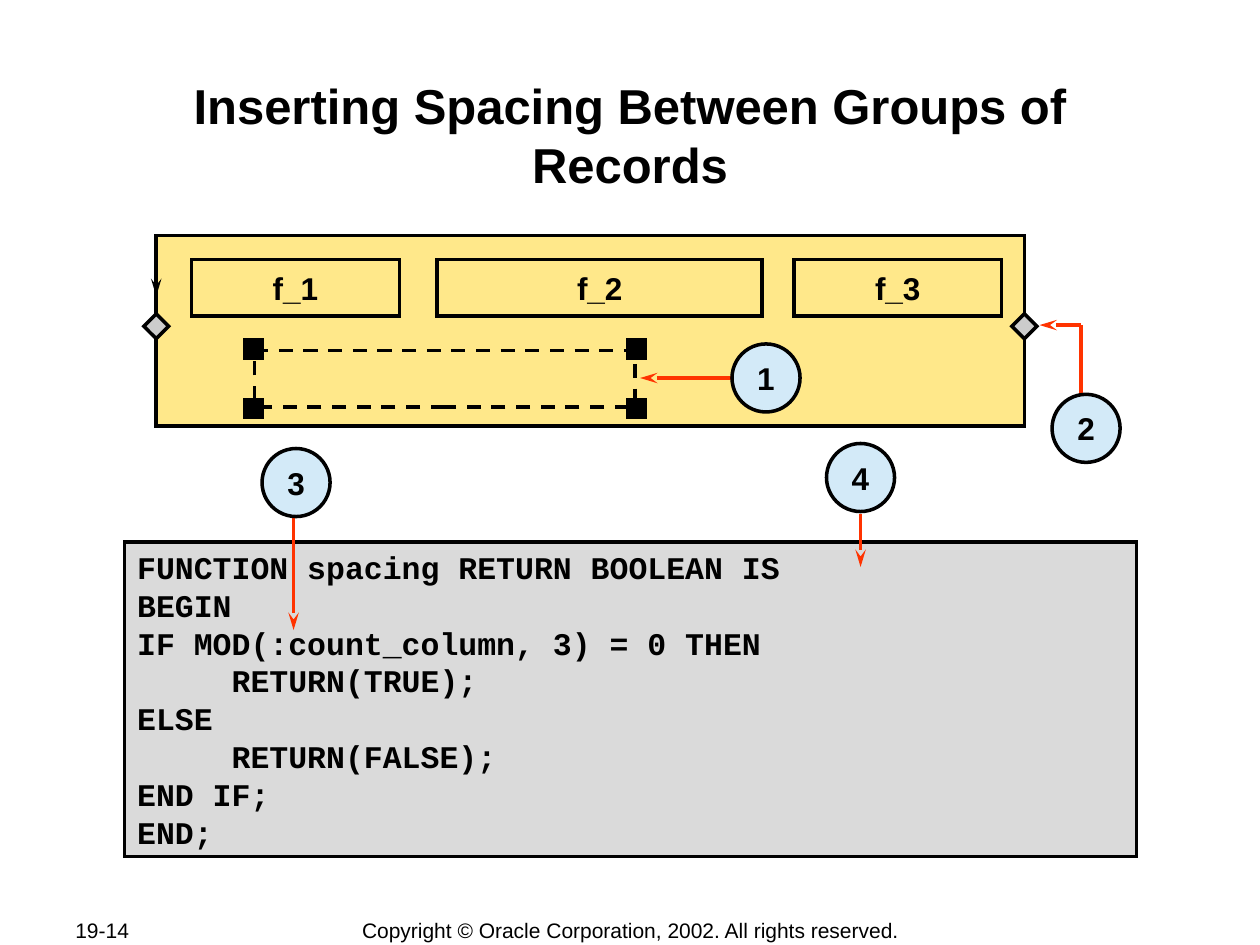
import pptx
import pptx.dml.color
import pptx.enum.dml
import pptx.enum.shapes
import pptx.enum.text
import pptx.oxml
import pptx.oxml.ns
import pptx.util
from dataclasses import dataclass

Inches, Pt = pptx.util.Inches, pptx.util.Pt
RGB = pptx.dml.color.RGBColor.from_string
SHAPE = pptx.enum.shapes.MSO_SHAPE
ALIGN = pptx.enum.text.PP_ALIGN
ANCHOR = pptx.enum.text.MSO_ANCHOR
NS = pptx.oxml.ns.nsdecls("a")


@dataclass(frozen=True)
class Theme:
    ink: str = "000000"
    frame: str = "FFE88A"
    anchor: str = "CCCCCC"
    code: str = "DADADA"
    badge: str = "D3EAF8"
    arrow: str = "FF3300"
    sans: str = "Arial"
    mono: str = "Courier New"
    title_size: int = 28
    body_size: int = 18
    footer_size: int = 12
    line: int = 2


T = Theme()

# Content
TITLE = "Inserting Spacing Between Groups of Records"
PAGE = "19-14"
COPYRIGHT = "Copyright © Oracle Corporation, 2002. All rights reserved."
CODE = [
    "FUNCTION spacing RETURN BOOLEAN IS",
    "BEGIN",
    "IF MOD(:count_column, 3) = 0 THEN",
    "\t\tRETURN(TRUE);",
    "ELSE",
    "\t\tRETURN(FALSE);",
    "END IF;",
    "END;",
]
CODE_TABS = [(0.44, "r"), (0.75, "l")]
FIELDS = [("f_1", 1.52, 1.65), ("f_2", 3.47, 2.58), ("f_3", 6.3, 1.65)]
BADGES = [("1", 5.81, 2.73), ("2", 8.35, 3.13), ("3", 2.08, 3.56), ("4", 6.56, 3.52)]
# Start, end, has an arrowhead
ARROWS = [
    ((6, 3), (5.08, 3), True),
    ((8.58, 3.17), (8.58, 2.58), False),
    ((8.58, 2.58), (8.25, 2.58), True),
    ((2.33, 3.83), (2.33, 5), True),
    ((6.83, 4.08), (6.83, 4.5), True),
]

# Geometry: left, top, width, height
FRAME = (1.24, 1.87, 6.89, 1.51)
BOILERPLATE = (2.02, 2.78, 3.02, 0.45)
CODE_BOX = (0.99, 4.3, 8.03, 2.5)
FIELD_TOP, FIELD_H = 2.06, 0.45
HANDLE, HANDLE_OUT, BADGE = 0.14, 0.01, 0.54
ANCHOR_Y = 2.59


def write(sp, lines, size, font=T.sans, bold=True, align=ALIGN.CENTER,
          anchor=ANCHOR.MIDDLE, wrap=False, inset=(0.1, 0.05), tabs=()):
    tf = sp.text_frame
    x, y = map(Inches, inset)
    frame_format = {"word_wrap": wrap, "vertical_anchor": anchor, "margin_left": x,
                    "margin_right": x, "margin_top": y, "margin_bottom": y}
    for name, value in frame_format.items():
        setattr(tf, name, value)
    for i, line in enumerate(lines):
        p = tf.paragraphs[0] if i == 0 else tf.add_paragraph()
        p.alignment = align
        if tabs:
            stops = "".join(f'<a:tab pos="{Inches(pos)}" algn="{kind}"/>' for pos, kind in tabs)
            p._p.get_or_add_pPr().append(
                pptx.oxml.parse_xml(f"<a:tabLst {NS}>{stops}</a:tabLst>"))
        r = p.add_run()
        r.text = line
        for name, value in {"name": font, "size": Pt(size), "bold": bold}.items():
            setattr(r.font, name, value)
        r.font.color.rgb = RGB(T.ink)


def add_shape(shapes, box, fill=None, kind=SHAPE.RECTANGLE):
    sp = shapes.add_shape(kind, *map(Inches, box))
    sp.shadow.inherit = False
    if fill:
        sp.fill.solid()
        sp.fill.fore_color.rgb = RGB(fill)
    else:
        sp.fill.background()
    sp.line.color.rgb = RGB(T.ink)
    sp.line.width = Pt(T.line)
    # Square corners
    sp.line._get_or_add_ln().append(pptx.oxml.parse_xml(f'<a:miter {NS} lim="800000"/>'))
    return sp


def add_handle(shapes, x, y, fill):
    return add_shape(shapes, (x - HANDLE / 2, y - HANDLE / 2, HANDLE, HANDLE), fill)


def add_line(shapes, start, end, color, head=True):
    cx = shapes.add_connector(pptx.enum.shapes.MSO_CONNECTOR.STRAIGHT,
                              *map(Inches, start + end))
    cx.line.color.rgb = RGB(color)
    cx.line.width = Pt(T.line)
    if head:
        cx.line._get_or_add_ln().append(
            pptx.oxml.parse_xml(f'<a:tailEnd {NS} type="stealth" w="med" len="lg"/>'))
    cx._element.spPr.append(pptx.oxml.parse_xml(f"<a:effectLst {NS}/>"))


def add_text(shapes, box, text, size, **options):
    write(shapes.add_textbox(*map(Inches, box)), [text], size, **options)


def main():
    prs = pptx.Presentation()
    prs.slide_width, prs.slide_height = Inches(10), Inches(7.5)
    shapes = prs.slides.add_slide(prs.slide_layouts[6]).shapes

    # Title and footer
    add_text(shapes, (1, 0.58, 8, 0.96), TITLE, T.title_size, anchor=ANCHOR.TOP,
             wrap=True, inset=(0.01, 0.02))
    add_text(shapes, (0.5, 7.28, 1.06, 0.2), PAGE, T.footer_size, bold=False, align=ALIGN.LEFT)
    add_text(shapes, (2.76, 7.28, 4.49, 0.21), COPYRIGHT, T.footer_size, bold=False)

    # Repeating frame with its fields and side anchors
    left, top, width, height = FRAME
    add_shape(shapes, FRAME, T.frame)
    add_line(shapes, (left, 2.13), (left, 2.35), T.ink)
    for name, x, w in FIELDS:
        write(add_shape(shapes, (x, FIELD_TOP, w, FIELD_H)), [name], T.body_size)
    for x in (left, left + width):
        add_handle(shapes, x, ANCHOR_Y, T.anchor).rotation = 45

    # Selected boilerplate with corner handles
    group = shapes.add_group_shape().shapes
    left, top, width, height = BOILERPLATE
    sp = add_shape(group, BOILERPLATE)
    sp.line.dash_style = pptx.enum.dml.MSO_LINE.DASH
    for x in (left - HANDLE_OUT, left + width + HANDLE_OUT):
        for y in (top - HANDLE_OUT, top + height + HANDLE_OUT):
            add_handle(group, x, y, T.ink)

    # Code
    write(add_shape(shapes, CODE_BOX, T.code), CODE, T.body_size, font=T.mono,
          align=ALIGN.LEFT, anchor=ANCHOR.TOP, wrap=True, tabs=CODE_TABS)

    # Callout arrows, then the numbered badges over them
    for start, end, head in ARROWS:
        add_line(shapes, start, end, T.arrow, head)
    for number, x, y in BADGES:
        sp = add_shape(shapes, (x, y, BADGE, BADGE), T.badge, SHAPE.OVAL)
        write(sp, [number], T.body_size, inset=(0.11, 0.06))

    prs.save("out.pptx")


if __name__ == "__main__":
    main()
